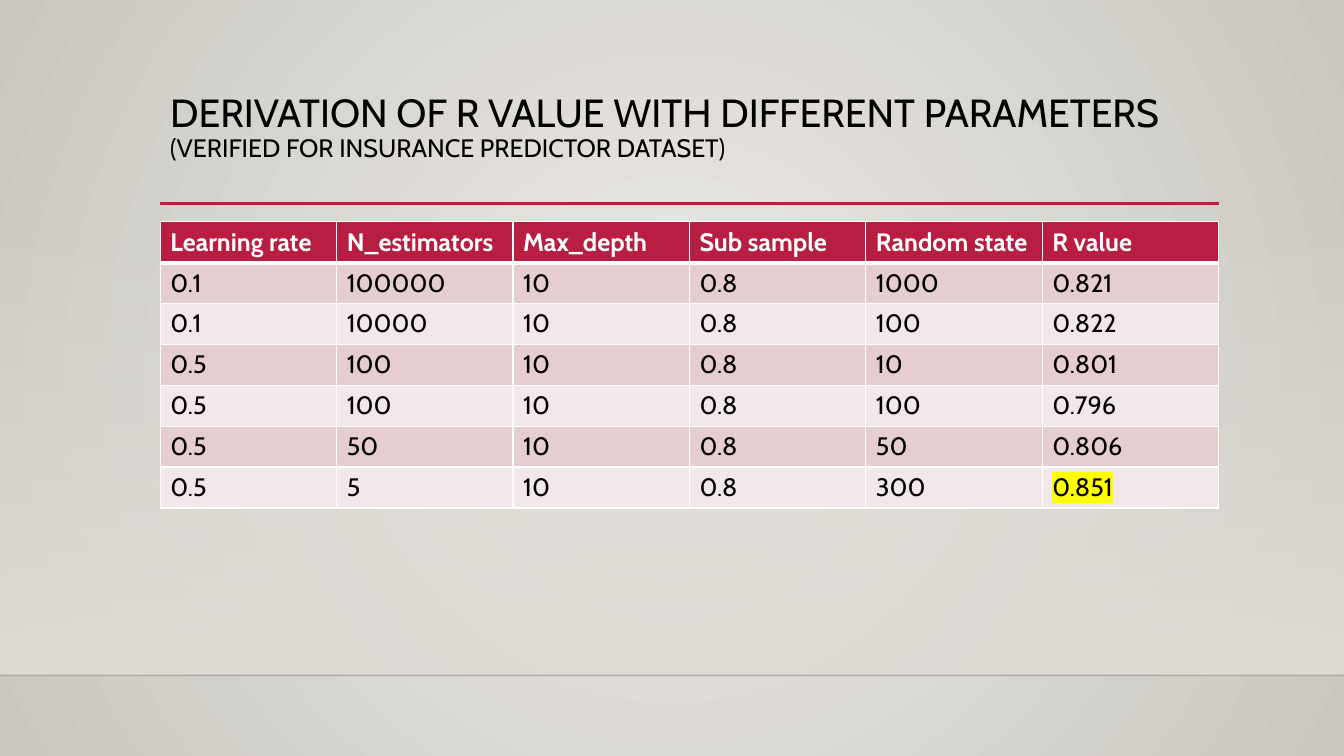
"""Build a slide with a table of R values for different model parameters."""
from pptx import Presentation
from pptx.dml.color import RGBColor
from pptx.enum.shapes import MSO_CONNECTOR as CONN, MSO_SHAPE as SHAPE
from pptx.oxml import parse_xml
from pptx.oxml.ns import nsdecls, qn
from pptx.util import Cm, Pt

FONT = "Cabin"
CRIMSON, BLACK, WHITE, SAND = "B71E42", "000000", "FFFFFF", "DFDBD5"
BANDS = ["F3E8E9", "E6CDCF"]
LEFT, WIDTH = Cm(4.04), Cm(26.67)
HEADERS = ["Learning rate", "N_estimators", "Max_depth", "Sub sample", "Random state", "R value"]
RESULTS = [
    ["0.1", "100000", "10", "0.8", "1000", "0.821"],
    ["0.1", "10000", "10", "0.8", "100", "0.822"],
    ["0.5", "100", "10", "0.8", "10", "0.801"],
    ["0.5", "100", "10", "0.8", "100", "0.796"],
    ["0.5", "50", "10", "0.8", "50", "0.806"],
    ["0.5", "5", "10", "0.8", "300", "0.851"],
]


def element(tag, attrs="", inner=""):
    return parse_xml(f"<a:{tag} {nsdecls('a')} {attrs}>{inner}</a:{tag}>")


def style(r, size, color, bold=False):
    r.font.name, r.font.size, r.font.bold = FONT, Pt(size), bold
    r.font.color.rgb = RGBColor.from_string(color)


prs = Presentation()
prs.slide_width, prs.slide_height = Cm(33.87), Cm(19.05)
s = prs.slides.add_slide(prs.slide_layouts[6])

sp = s.shapes.add_shape(SHAPE.RECTANGLE, 0, Cm(5.61), prs.slide_width, Cm(11.41))
sp.shadow.inherit = False
sp.line.fill.background()

for fill, colors in [(s.background.fill, ["ECEAE7", "CAC7C1"]), (sp.fill, [SAND, SAND])]:
    fill.gradient()
    for stop, position, color in zip(fill.gradient_stops, [0, 1], colors):
        stop.position = position
        stop.color.rgb = RGBColor.from_string(color)

sp.fill.gradient_angle = 270
first_color = next(sp._element.spPr.iter(qn("a:srgbClr")))
first_color.append(element("alpha", 'val="0"'))
linear = next(s.background._cSld.iter(qn("a:lin")))
center = '<a:fillToRect l="50000" t="50000" r="50000" b="50000"/>'
linear.getparent().replace(linear, element("path", 'path="circle"', center))

for x1, x2, y, color, weight, alpha in [
    (0, prs.slide_width, Cm(17.02), "000001", 1, 20000),
    (LEFT, Cm(30.73), Cm(5.13), CRIMSON, 2.5, 100000),
]:
    rule = s.shapes.add_connector(CONN.STRAIGHT, x1, y, x2, y)
    rule.line.width = Pt(weight)
    rule.line.color.rgb = RGBColor.from_string(color)
    next(rule._element.spPr.iter(qn("a:srgbClr"))).append(element("alpha", f'val="{alpha}"'))
    rule._element.spPr.append(element("effectLst"))

tf = s.shapes.add_textbox(LEFT, Cm(2.24), WIDTH, Cm(2.92)).text_frame
tf.word_wrap = True
p = tf.paragraphs[0]
p.line_spacing = 0.9
for text, size in [
    ("DERIVATION OF R VALUE WITH DIFFERENT PARAMETERS ", 28),
    ("(VERIFIED FOR INSURANCE PREDICTOR DATASET)", 18),
]:
    r = p.add_run()
    r.text = text
    style(r, size, BLACK)

rows = [HEADERS] + RESULTS
table = s.shapes.add_table(
    len(rows), len(HEADERS), LEFT, Cm(5.59), WIDTH, Cm(1.03) * len(rows)
).table
table.horz_banding = False
for i, row in enumerate(rows):
    header = i == 0
    for j, text in enumerate(row):
        cell = table.cell(i, j)
        cell.text = text
        r = cell.text_frame.paragraphs[0].runs[0]
        style(r, 18, WHITE if header else BLACK, header)
        weights = {"L": 1, "R": 1, "T": 3 if i == 1 else 1, "B": 3 if header else 1}
        for side, weight in weights.items():
            white = f'<a:solidFill><a:srgbClr val="{WHITE}"/></a:solidFill>'
            cell._tc.get_or_add_tcPr().append(element(f"ln{side}", f'w="{Pt(weight)}"', white))
        cell.fill.solid()
        cell.fill.fore_color.rgb = RGBColor.from_string(CRIMSON if header else BANDS[i % 2])

best = table.cell(len(rows) - 1, len(HEADERS) - 1).text_frame.paragraphs[0].runs[0]
yellow = element("highlight", "", '<a:srgbClr val="FFFF00"/>')
best._r.rPr.find(qn("a:solidFill")).addnext(yellow)

prs.save("out.pptx")
